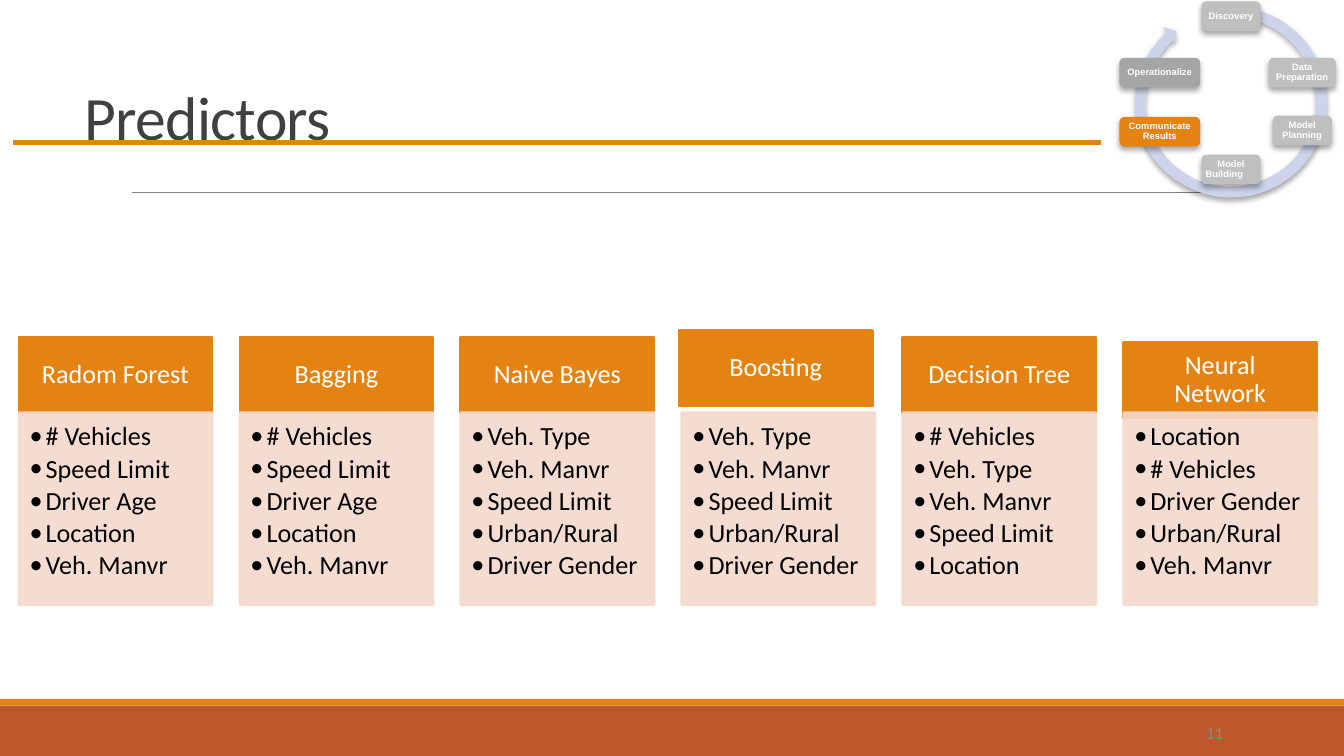
from pptx import Presentation
from pptx.dml.color import RGBColor
from pptx.enum.shapes import MSO_CONNECTOR as CONN, MSO_SHAPE as SHAPE
from pptx.enum.text import MSO_ANCHOR as ANCHOR, MSO_AUTO_SIZE as FIT, PP_ALIGN as ALIGN
from pptx.oxml import parse_xml
from pptx.oxml.ns import nsdecls
from pptx.util import Inches, Pt


def rgb(h):
    return RGBColor.from_string(h)


def write(tf, lines, ins, font, para, color, anchor=ANCHOR.MIDDLE):
    tf.word_wrap = True
    tf.auto_size = FIT.NONE
    tf.vertical_anchor = anchor
    for side, v in zip(("left", "top", "right", "bottom"), ins):
        setattr(tf, f"margin_{side}", Inches(v))
    tf.text = "\n".join(lines)
    for p in tf.paragraphs:
        for k, v in para.items():
            setattr(p, k, v)
        for k, v in font.items():
            setattr(p.runs[0].font, k, v)
        p.runs[0].font.color.rgb = rgb(color)


prs = Presentation()
prs.slide_width, prs.slide_height = Inches(10), Inches(10 * 9 / 16)
s = prs.slides.add_slide(prs.slide_layouts[5])

for y, h, color in [(5.25, 0.38, "BD582C"), (5.2, 0.05, "E48312")]:
    sp = s.shapes.add_shape(SHAPE.RECTANGLE, 0, Inches(y), Inches(10), Inches(h))
    sp.shadow.inherit = False
    sp.fill.solid()
    sp.fill.fore_color.rgb = rgb(color)
    sp.line.fill.background()

for x1, x2, y, color, w in [(0.98, 9.15, 1.43, "808080", 0.5), (0.1, 8.19, 1.06, "E48312", 3)]:
    ln = s.shapes.add_connector(CONN.STRAIGHT, Inches(x1), Inches(y), Inches(x2), Inches(y))
    ln.line.color.rgb = rgb(color)
    ln.line.width = Pt(w)
    ln._element.spPr.append(parse_xml(f"<a:effectLst {nsdecls('a')}/>"))

title = s.shapes.title
title.left, title.top, title.width, title.height = Inches(0.53), 0, Inches(8.25), Inches(1.19)
write(title.text_frame, ["Predictors"], (0.1, 0.05, 0.1, 0.05), {"name": "Calibri", "size": Pt(33)},
      {"alignment": ALIGN.LEFT, "line_spacing": 0.85}, "404040", ANCHOR.BOTTOM)
title.text_frame.paragraphs[0].runs[0].font._element.set("spc", "-40")

num = s.shapes.add_textbox(Inches(8.2), Inches(5.3), Inches(1), Inches(0.3))
write(num.text_frame, ["11"], (0.1, 0.05, 0.1, 0.05), {"name": "Calibri", "size": Pt(9)},
      {"alignment": ALIGN.RIGHT}, "898989")

models = [
    ("Radom Forest", 0, 2.51, ["# Vehicles", "Speed Limit", "Driver Age", "Location", "Veh. Manvr"]),
    ("Bagging", 0, 2.51, ["# Vehicles", "Speed Limit", "Driver Age", "Location", "Veh. Manvr"]),
    ("Naive Bayes", 0, 2.51, ["Veh. Type", "Veh. Manvr", "Speed Limit", "Urban/Rural", "Driver Gender"]),
    ("Boosting", -0.02, 2.46, ["Veh. Type", "Veh. Manvr", "Speed Limit", "Urban/Rural", "Driver Gender"]),
    ("Decision Tree", 0, 2.51, ["# Vehicles", "Veh. Type", "Veh. Manvr", "Speed Limit", "Location"]),
    ("Neural Network", 0, 2.55, ["Location", "# Vehicles", "Driver Gender", "Urban/Rural", "Veh. Manvr"]),
]
font = {"name": "Calibri", "size": Pt(14)}
for i, (name, dx, y, predictors) in enumerate(models):
    x = 0.14 + i * 8.22 / 5
    head = s.shapes.add_shape(SHAPE.RECTANGLE, Inches(x + dx), Inches(y), Inches(1.44), Inches(0.56))
    body = s.shapes.add_shape(SHAPE.RECTANGLE, Inches(x), Inches(3.07), Inches(1.44), Inches(1.43))
    for sp, color in [(head, "E48312"), (body, "F5D9CC")]:
        sp.shadow.inherit = False
        sp.fill.solid()
        sp.fill.fore_color.rgb = rgb(color)
        sp.line.color.rgb = rgb(color)
        sp.line.width = Pt(1.25)
    for clr in body._element.spPr.xpath(".//a:srgbClr"):
        clr.append(parse_xml(f'<a:alpha {nsdecls("a")} val="90000"/>'))
    write(head.text_frame, [name], (0.11, 0.06, 0.11, 0.06), font,
          {"alignment": ALIGN.CENTER, "line_spacing": 0.9}, "FFFFFF")
    write(body.text_frame, predictors, (0.08, 0.08, 0.11, 0.12), font,
          {"alignment": ALIGN.LEFT, "line_spacing": 0.9, "space_after": Pt(2.1), "level": 1},
          "000000", ANCHOR.TOP)
    for p in body.text_frame.paragraphs:
        pPr = p._p.get_or_add_pPr()
        pPr.set("marL", str(Inches(0.12)))
        pPr.set("indent", str(-Inches(0.12)))
        pPr.append(parse_xml(f'<a:buFont {nsdecls("a")} typeface="Calibri"/>'))
        pPr.append(parse_xml(f'<a:buChar {nsdecls("a")} char="•"/>'))

outer = [(9.44, 0.02, 9.76, 0.24, 9.85, 0.58), (9.94, 0.92, 9.77, 1.27, 9.45, 1.41),
         (9.13, 1.55, 8.76, 1.44, 8.56, 1.15), (8.37, 0.86, 8.42, 0.47, 8.68, 0.24)]
arrow = [(8.65, 0.2), (8.75, 0.23), (8.75, 0.33), (8.73, 0.3)]
inner = [(8.5, 0.51, 8.46, 0.85, 8.63, 1.11), (8.81, 1.37, 9.14, 1.46, 9.42, 1.33),
         (9.7, 1.21, 9.85, 0.9, 9.77, 0.6), (9.69, 0.3, 9.41, 0.1, 9.1, 0.13)]
pts = [(9.09, 0.05)]
for seg in outer + arrow + inner:
    if len(seg) == 2:
        pts.append(seg)
        continue
    a, b, c, d = pts[-1], seg[:2], seg[2:4], seg[4:]
    for t in [n / 12 for n in range(1, 13)]:
        u = 1 - t
        pts.append(tuple(u**3 * a[k] + 3 * u * u * t * b[k] + 3 * u * t * t * c[k] + t**3 * d[k]
                         for k in (0, 1)))
fb = s.shapes.build_freeform(Inches(pts[0][0]), Inches(pts[0][1]))
fb.add_line_segments([(Inches(px), Inches(py)) for px, py in pts[1:]], close=True)
cycle = [(fb.convert_to_shape(), "CCD3EA")]

steps = [
    ("Discovery", 8.94, 0.01, 0.44, "BFBFBF"),
    ("Data Preparation", 9.44, 0.43, 0.5, "BFBFBF"),
    ("Model Planning", 9.47, 0.86, 0.44, "BFBFBF"),
    ("Model Building\t", 8.94, 1.15, 0.44, "BFBFBF"),
    ("Communicate Results", 8.33, 0.87, 0.6, "E48312"),
    ("Operationalize", 8.33, 0.43, 0.6, "A5A5A5"),
]
for name, x, y, w, color in steps:
    sp = s.shapes.add_shape(SHAPE.ROUNDED_RECTANGLE, Inches(x), Inches(y), Inches(w), Inches(0.22))
    write(sp.text_frame, [name], (0.02,) * 4, {"name": "Arial", "size": Pt(5), "bold": True},
          {"alignment": ALIGN.CENTER, "line_spacing": 0.9}, "FFFFFF")
    cycle.append((sp, color))

for sp, color in cycle:
    sp.fill.solid()
    sp.fill.fore_color.rgb = rgb(color)
    sp.line.fill.background()
    sp._element.spPr.append(parse_xml(
        f'<a:effectLst {nsdecls("a")}><a:outerShdw blurRad="{Pt(3.1)}" dist="{Pt(1.8)}" dir="5400000" '
        'rotWithShape="0"><a:srgbClr val="000000"><a:alpha val="35000"/></a:srgbClr>'
        '</a:outerShdw></a:effectLst>'))

prs.save("out.pptx")
